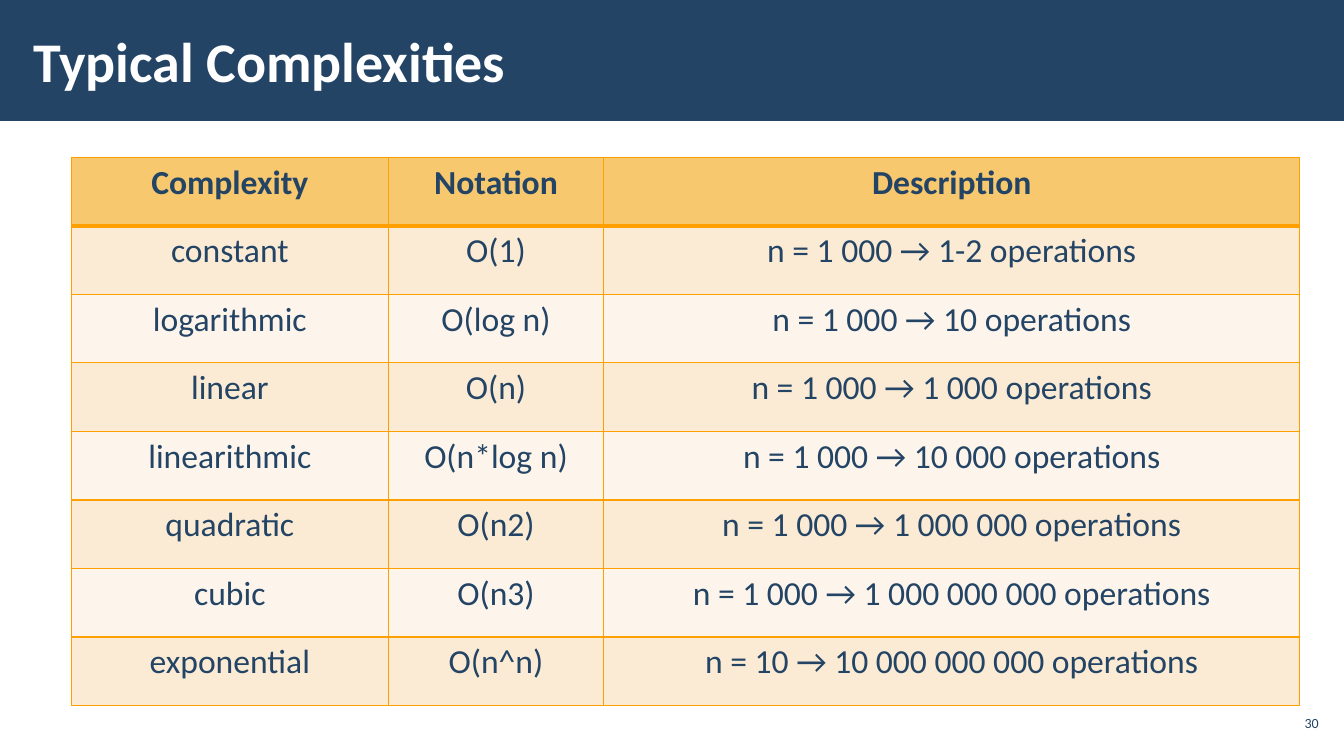
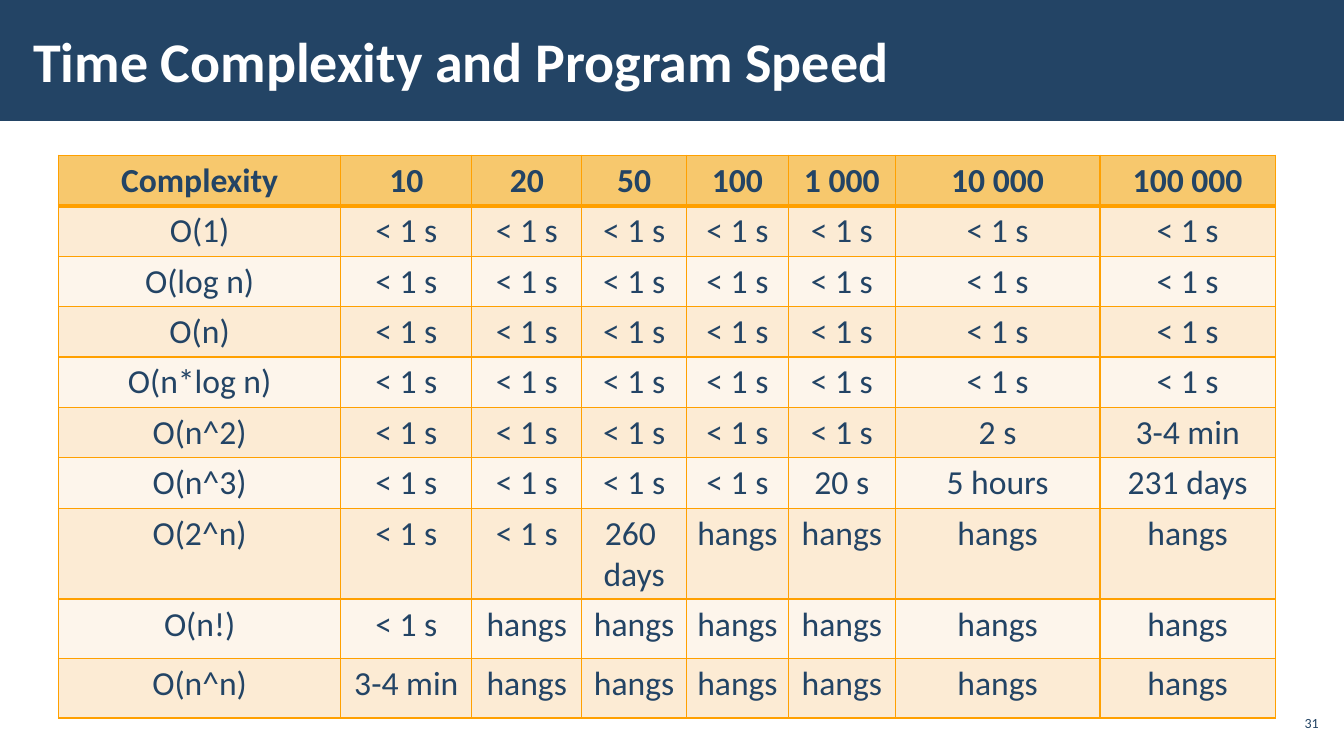
import lxml.etree
import pptx
import pptx.dml.color
import pptx.enum.shapes
import pptx.enum.text
import pptx.oxml.ns
import pptx.util

COLORS = {
    "navy": "234465",
    "white": "FFFFFF",
    "border": "FFA000",
    "header": "F7C86D",
    "odd": "FCEBD4",
    "even": "FDF5EB",
}
FONT = "Calibri"
WIDTH, HEIGHT = 13.33, 7.5
BAND = 0.16 * HEIGHT

FAST, HANGS = ["< 1 s"], ["hangs"]

SLIDES = [
    {
        "title": "Typical Complexities",
        "number": 30,
        "at": (0.71, 1.56),
        "cols": [3.14, 2.14, 6.9],
        "row_heights": [0.68] * 8,
        "rows": [
            ["Complexity", "Notation", "Description"],
            ["constant", "O(1)", "n = 1 000 → 1-2 operations"],
            ["logarithmic", "O(log n)", "n = 1 000 → 10 operations"],
            ["linear", "O(n)", "n = 1 000 → 1 000 operations"],
            ["linearithmic", "O(n*log n)", "n = 1 000 → 10 000 operations"],
            ["quadratic", "O(n2)", "n = 1 000 → 1 000 000 operations"],
            ["cubic", "O(n3)", "n = 1 000 → 1 000 000 000 operations"],
            ["exponential", "O(n^n)", "n = 10 → 10 000 000 000 operations"],
        ],
    },
    {
        "title": "Time Complexity and Program Speed",
        "number": 31,
        "at": (0.58, 1.54),
        "cols": [2.8, 1.3, 1.09, 1.04, 1.01, 1.06, 2.03, 1.74],
        "row_heights": [0.48] * 7 + [0.86] + [0.59] * 2,
        "rows": [
            ["Complexity", "10", "20", "50", "100", "1 000", "10 000", "100 000"],
            ["O(1)"] + FAST * 7,
            ["O(log n)"] + FAST * 7,
            ["O(n)"] + FAST * 7,
            ["O(n*log n)"] + FAST * 7,
            ["O(n^2)"] + FAST * 5 + ["2 s", "3-4 min"],
            ["O(n^3)"] + FAST * 4 + ["20 s", "5 hours", "231 days"],
            ["O(2^n)"] + FAST * 2 + ["260 \ndays"] + HANGS * 4,
            ["O(n!)"] + FAST + HANGS * 6,
            ["O(n^n)", "3-4 min"] + HANGS * 6,
        ],
    },
]


def inches(*values):
    return [pptx.util.Inches(v) for v in values]


def rgb(name):
    return pptx.dml.color.RGBColor.from_string(COLORS[name])


def write(tf, text, size=24, color="navy", bold=False, align="CENTER"):
    """Fill a text frame, one paragraph per line of text."""
    for i, line in enumerate(text.split("\n")):
        p = tf.add_paragraph() if i else tf.paragraphs[0]
        p.alignment = getattr(pptx.enum.text.PP_ALIGN, align)
        r = p.add_run()
        r.text = line
        r.font.name, r.font.size, r.font.bold = FONT, pptx.util.Pt(size), bold
        r.font.color.rgb = rgb(color)


def add_text(s, text, box, side_inset, **style):
    tf = s.shapes.add_textbox(*inches(*box)).text_frame
    tf.word_wrap = True
    tf.vertical_anchor = pptx.enum.text.MSO_ANCHOR.MIDDLE
    tf.margin_left, tf.margin_right = inches(side_inset, side_inset)
    tf.margin_top, tf.margin_bottom = inches(0.04, 0.04)
    write(tf, text, **style)


def add_frame(s, title, number):
    """Draw the title band, title and page number every slide shares."""
    band = s.shapes.add_shape(
        pptx.enum.shapes.MSO_SHAPE.RECTANGLE, *inches(0, 0, WIDTH, BAND))
    band.shadow.inherit = False
    band.fill.solid()
    band.fill.fore_color.rgb = rgb("navy")
    band.line.fill.background()
    add_text(s, title, (0.21, 0.11, 10.4, 0.97), 0.12,
             size=40, color="white", bold=True, align="LEFT")
    add_text(s, str(number), (12.65, 7, 0.47, 0.34), 0.04, size=10, align="RIGHT")


def set_borders(cell, top, bottom):
    """Border a cell with 1 pt sides and the given top and bottom widths."""
    qn = pptx.oxml.ns.qn
    tc_pr = cell._tc.get_or_add_tcPr()
    for side, width in (("L", 1), ("R", 1), ("T", top), ("B", bottom)):
        ln = lxml.etree.SubElement(
            tc_pr, qn("a:ln" + side), w=str(pptx.util.Pt(width)))
        fill = lxml.etree.SubElement(ln, qn("a:solidFill"))
        lxml.etree.SubElement(fill, qn("a:srgbClr"), val=COLORS["border"])


def add_grid(s, at, cols, row_heights, rows):
    """Add a table with a bold header row and alternating row fills."""
    table = s.shapes.add_table(
        len(rows), len(cols), *inches(*at, sum(cols), sum(row_heights))).table
    for column, width in zip(table.columns, inches(*cols)):
        column.width = width
    for row, height in zip(table.rows, inches(*row_heights)):
        row.height = height
    for i, row in enumerate(rows):
        color = "header" if i == 0 else ("even", "odd")[i % 2]
        for j, text in enumerate(row):
            cell = table.cell(i, j)
            set_borders(cell, top=3 if i == 1 else 1, bottom=3 if i == 0 else 1)
            cell.fill.solid()
            cell.fill.fore_color.rgb = rgb(color)
            write(cell.text_frame, text, bold=i == 0)


def main():
    prs = pptx.Presentation()
    prs.slide_width, prs.slide_height = inches(WIDTH, HEIGHT)
    for content in SLIDES:
        s = prs.slides.add_slide(prs.slide_layouts[6])
        add_frame(s, content["title"], content["number"])
        add_grid(s, content["at"], content["cols"],
                 content["row_heights"], content["rows"])
    prs.save("out.pptx")


if __name__ == "__main__":
    main()
